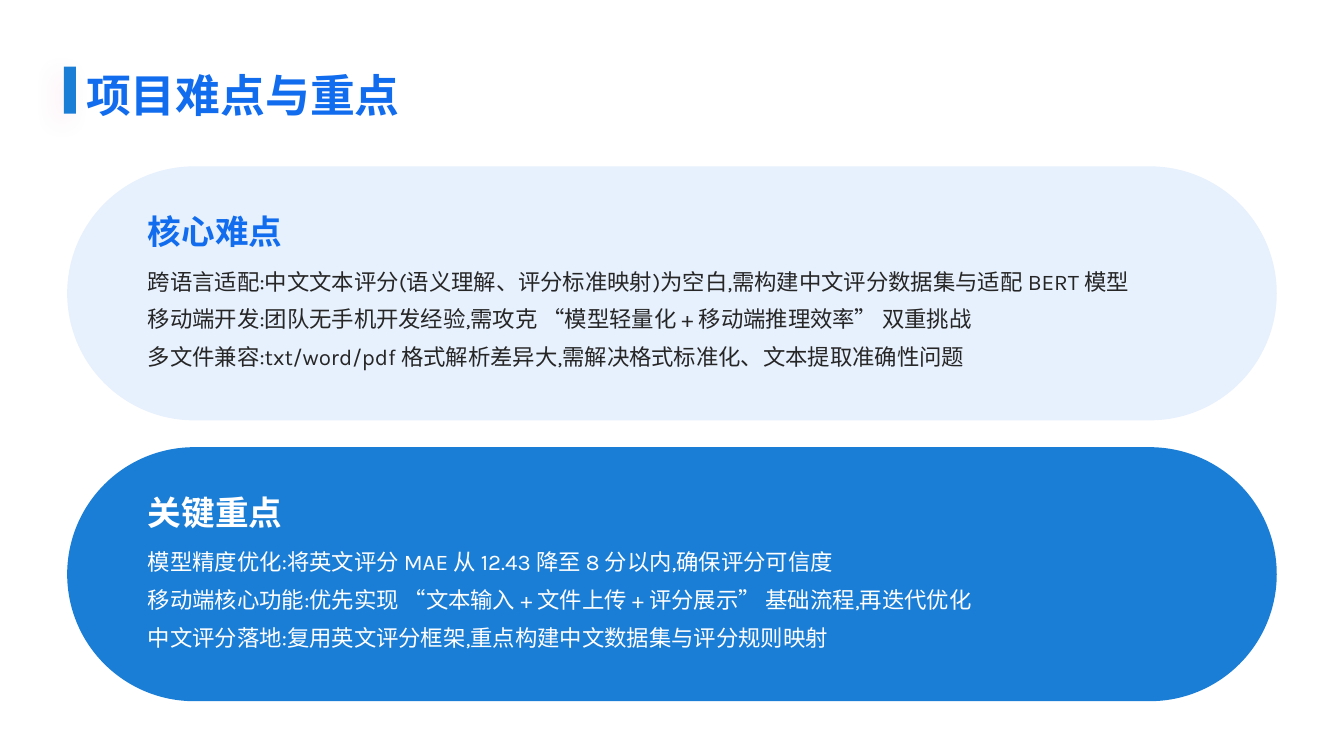
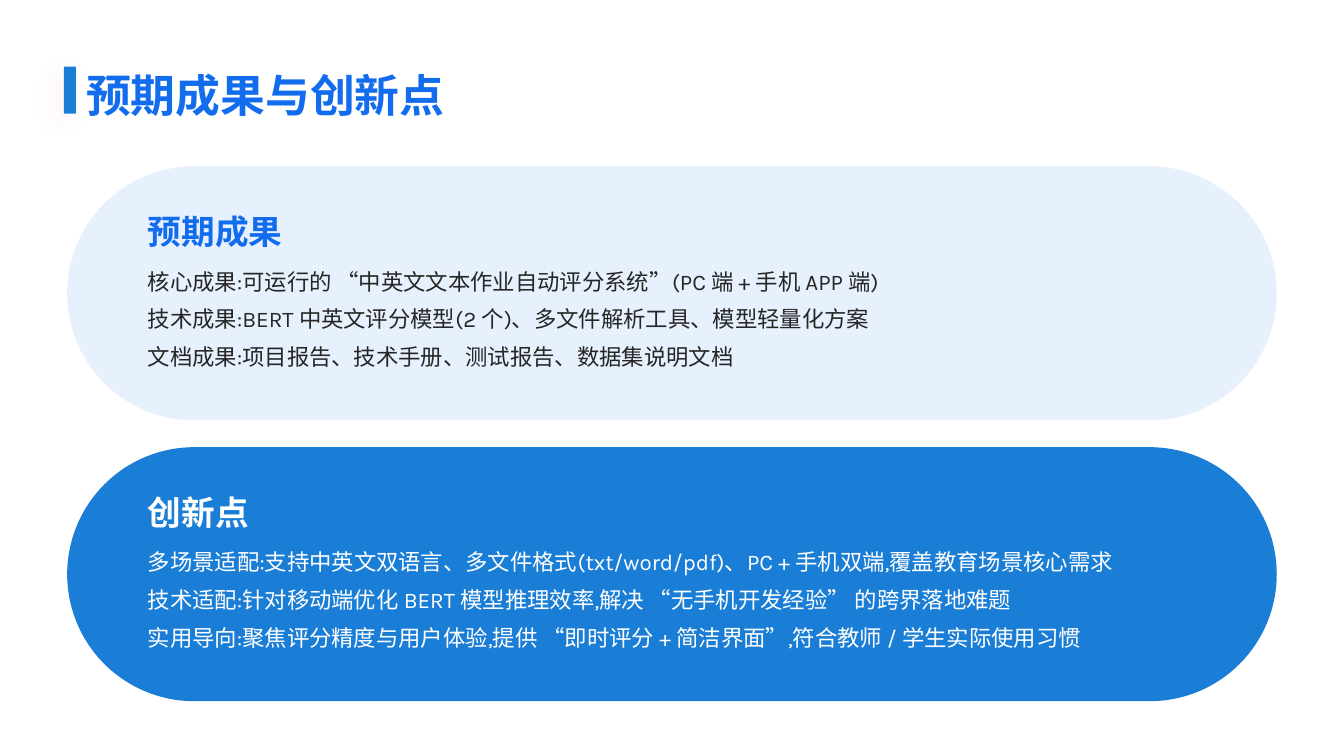
from lxml import etree
from pptx import Presentation
from pptx.dml.color import RGBColor
from pptx.enum.shapes import MSO_SHAPE
from pptx.enum.text import MSO_ANCHOR, MSO_AUTO_SIZE, PP_ALIGN
from pptx.oxml.ns import qn
from pptx.util import Inches, Pt

RECTANGLE, PILL = MSO_SHAPE.RECTANGLE, MSO_SHAPE.ROUNDED_RECTANGLE
TOP, BOTTOM = MSO_ANCHOR.TOP, MSO_ANCHOR.BOTTOM
LEFT, JUSTIFY = PP_ALIGN.LEFT, PP_ALIGN.JUSTIFY
NO_AUTOFIT = MSO_AUTO_SIZE.NONE

# Shared style
FONT = "Karla"
TITLE_BLUE, DEEP_BLUE, PALE_BLUE = "116CEE", "1B7ED6", "A0C4F8"
INK, WHITE, PINK = "262626", "FFFFFF", "FF5DA9"
COMPARISON_LAYOUT = 4

# A 20 by 20 grid; panels repeat downwards at a fixed pitch
GRID = 20
PANEL_TOP, PANEL_HEIGHT, PANEL_PITCH = 4.4, 6.72, 7.43
# Fill, opacity in percent, heading colour, body colour
PANEL_STYLES = [
    (PALE_BLUE, 25, TITLE_BLUE, INK),
    (DEEP_BLUE, 100, WHITE, WHITE),
]

SLIDES = [
    ("项目难点与重点", [
        ("核心难点", [
            "跨语言适配:中文文本评分(语义理解、评分标准映射)为空白,需构建中文评分数据集与适配 BERT 模型",
            "移动端开发:团队无手机开发经验,需攻克 “模型轻量化 + 移动端推理效率” 双重挑战",
            "多文件兼容:txt/word/pdf 格式解析差异大,需解决格式标准化、文本提取准确性问题",
        ]),
        ("关键重点", [
            "模型精度优化:将英文评分 MAE 从 12.43 降至 8 分以内,确保评分可信度",
            "移动端核心功能:优先实现 “文本输入 + 文件上传 + 评分展示” 基础流程,再迭代优化",
            "中文评分落地:复用英文评分框架,重点构建中文数据集与评分规则映射",
        ]),
    ]),
    ("预期成果与创新点", [
        ("预期成果", [
            "核心成果:可运行的 “中英文文本作业自动评分系统”(PC 端 + 手机 APP 端)",
            "技术成果:BERT 中英文评分模型(2 个)、多文件解析工具、模型轻量化方案",
            "文档成果:项目报告、技术手册、测试报告、数据集说明文档",
        ]),
        ("创新点", [
            "多场景适配:支持中英文双语言、多文件格式(txt/word/pdf)、PC + 手机双端,覆盖教育场景核心需求",
            "技术适配:针对移动端优化 BERT 模型推理效率,解决 “无手机开发经验” 的跨界落地难题",
            "实用导向:聚焦评分精度与用户体验,提供 “即时评分 + 简洁界面”,符合教师 / 学生实际使用习惯",
        ]),
    ]),
]


def color(value):
    return RGBColor.from_string(value)


def add_alpha(color_element, percent):
    etree.SubElement(color_element, qn("a:alpha"), val=str(percent * 1000))


def write_text(shape, text, size, text_color, bold=False, align=LEFT,
               anchor=TOP, line_spacing=1.0):
    """Fill a placeholder with unbulleted text, one paragraph a line."""
    frame = shape.text_frame
    frame.text = text
    frame.word_wrap = True
    frame.auto_size = NO_AUTOFIT
    frame.vertical_anchor = anchor
    frame.margin_left = frame.margin_right = 0
    frame.margin_top = frame.margin_bottom = 0
    for paragraph in frame.paragraphs:
        properties = paragraph._p.get_or_add_pPr()
        properties.set("marL", "0")
        properties.set("indent", "0")
        etree.SubElement(properties, qn("a:buNone"))
        paragraph.alignment = align
        paragraph.line_spacing = line_spacing
        paragraph.space_before = Pt(0)
        for run in paragraph.runs:
            run.font.name = FONT
            run.font.size = Pt(size)
            run.font.bold = bold
            run.font.color.rgb = color(text_color)


class Deck:
    def __init__(self):
        self.presentation = Presentation()
        self.presentation.slide_width = Inches(13.33)
        self.presentation.slide_height = Inches(7.5)
        self.layout = self.presentation.slide_layouts[COMPARISON_LAYOUT]
        self.slide = None

    def box(self, column, row, columns, rows):
        """Turn grid units into left, top, width and height."""
        width = self.presentation.slide_width / GRID
        height = self.presentation.slide_height / GRID
        return (round(column * width), round(row * height),
                round(columns * width), round(rows * height))

    def add_slide(self, title):
        first = self.slide is None
        self.slide = self.presentation.slides.add_slide(self.layout)
        if first:
            self.add_title_bar()
        self.place(self.slide.shapes.title, 1.28, 1.52, 17.58, 1.7)
        write_text(self.slide.shapes.title, title, size=32,
                   text_color=TITLE_BLUE, bold=True, anchor=BOTTOM)

    def place(self, shape, *cells):
        shape.left, shape.top, shape.width, shape.height = self.box(*cells)

    def add_block(self, preset, fill, *cells):
        shape = self.slide.shapes.add_shape(preset, *self.box(*cells))
        shape.shadow.inherit = False
        shape.fill.solid()
        shape.fill.fore_color.rgb = color(fill)
        shape.line.fill.background()
        return shape

    def add_title_bar(self):
        """Draw the bar with its soft glow and move it to the layout."""
        bar = self.add_block(RECTANGLE, DEEP_BLUE, 0.95, 1.76, 0.18, 1.25)
        effects = bar.element.spPr.find(qn("a:effectLst"))
        shadow = etree.SubElement(
            effects, qn("a:outerShdw"), blurRad=str(Pt(16)), dist=str(Pt(8)),
            dir=str(135 * 60000), algn="tr", rotWithShape="0")
        add_alpha(etree.SubElement(shadow, qn("a:srgbClr"), val=PINK), 10)
        bar.element.nvSpPr.cNvPr.set("id", "100")
        self.layout.shapes.element.insert(2, bar.element)

    def add_panel(self, index, heading, lines):
        fill, opacity, heading_color, body_color = PANEL_STYLES[index]
        top = PANEL_TOP + index * PANEL_PITCH
        pill = self.add_block(PILL, fill, 1, top, 18, PANEL_HEIGHT)
        pill.adjustments[0] = 0.5
        if opacity < 100:
            fill_color = pill.element.spPr.find(qn("a:solidFill"))[0]
            add_alpha(fill_color, opacity)
        # The pill goes behind the placeholders
        self.slide.shapes.title.element.addprevious(pill.element)

        # Comparison layout: heading and body placeholders alternate
        placeholders = {item.placeholder_format.idx: item
                        for item in self.slide.placeholders}
        heading_shape = placeholders[1 + 2 * index]
        body_shape = placeholders[2 + 2 * index]
        self.place(heading_shape, 2.2, top + 0.9, 15.6, 1.36)
        write_text(heading_shape, heading, size=24, text_color=heading_color,
                   bold=True, anchor=BOTTOM)
        self.place(body_shape, 2.2, top + 2.4, 15.6, 3.44)
        write_text(body_shape, "\n".join(lines), size=16,
                   text_color=body_color, align=JUSTIFY, line_spacing=1.4)


def main():
    deck = Deck()
    for title, panels in SLIDES:
        deck.add_slide(title)
        for index, (heading, lines) in enumerate(panels):
            deck.add_panel(index, heading, lines)
    deck.presentation.save("out.pptx")


if __name__ == "__main__":
    main()
